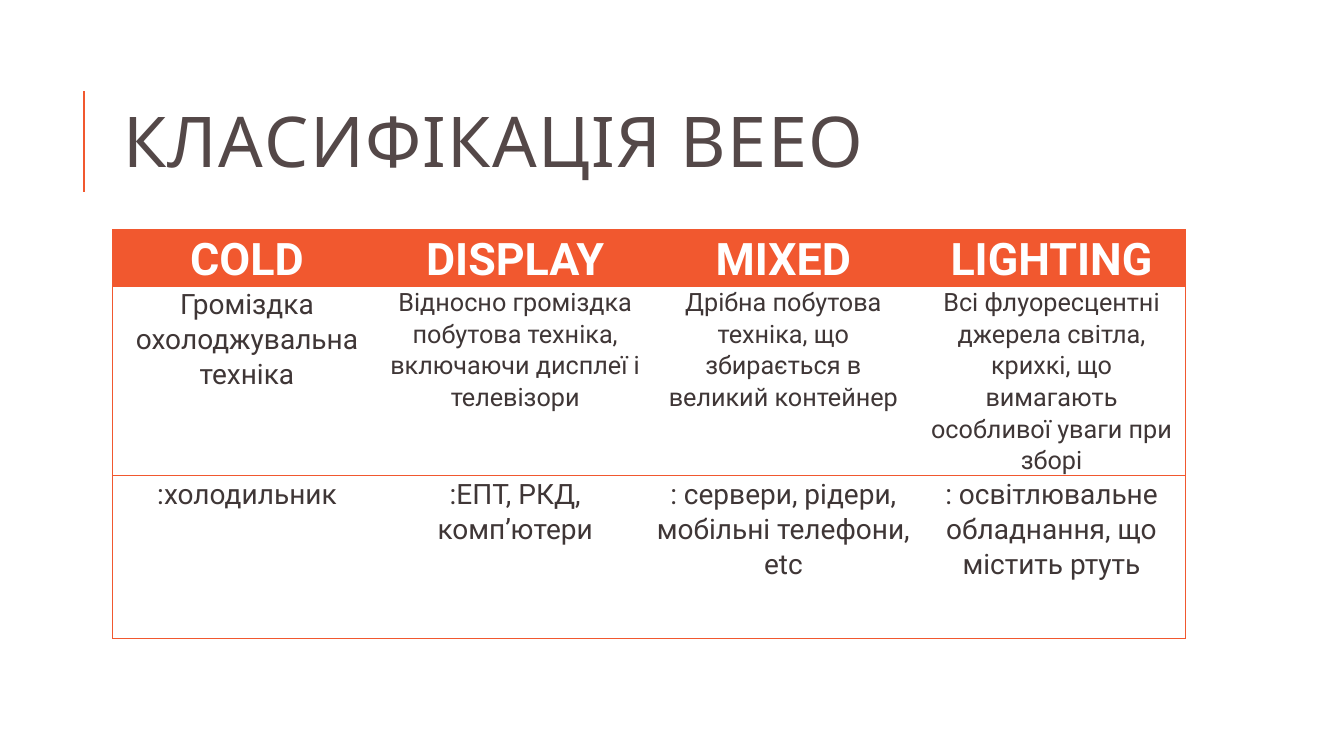
from lxml import etree
from pptx import Presentation, util as u
from pptx.dml.color import RGBColor
from pptx.enum import shapes, text
from pptx.oxml import parse_xml
from pptx.oxml.ns import nsdecls, qn

PX = 9144  # EMU per px, 100 px to the inch
COLORS = {"accent": "F1582F", "title": "544848", "body": "3F3636", "white": "FFFFFF"}
PLAIN = "{2D5ABB26-0587-4C30-8999-92F81FD0307C}"  # table style without grid

HEADS = ["COLD", "DISPLAY", "MIXED", "LIGHTING"]
KINDS = [
    "Громіздка охолоджувальна техніка",
    "Відносно громіздка побутова техніка, включаючи дисплеї і телевізори",
    "Дрібна побутова техніка, що збирається в великий контейнер",
    "Всі флуоресцентні джерела світла, крихкі, що вимагають особливої уваги при зборі",
]
ITEMS = [
    ":холодильник",
    ":ЕПТ, РКД, комп’ютери",
    ": сервери, рідери, мобільні телефони, etc",
    ": освітлювальне обладнання, що містить ртуть",
]


def color(name):
    return RGBColor.from_string(COLORS[name])


class Deck:
    def __init__(self, wide, high):
        self.prs = Presentation()
        self.prs.slide_width, self.prs.slide_height = wide * PX, high * PX
        self.slide = self.prs.slides.add_slide(self.prs.slide_layouts[5])

    def font(self, par, face, size, tint, bold=False):
        font = par.font
        font.name, font.size, font.bold = face, u.Pt(size), bold
        font.color.rgb = color(tint)

    def line(self, x1, y1, x2, y2):
        rule = self.slide.shapes.add_connector(
            shapes.MSO_CONNECTOR.STRAIGHT, x1 * PX, y1 * PX, x2 * PX, y2 * PX)
        rule.line.color.rgb = color("accent")
        rule.line.width = u.Pt(1.5)
        etree.SubElement(rule._element.spPr, qn("a:effectLst"))

    def title(self, words, x, y, w, h):
        box = self.slide.shapes.title
        box.left, box.top, box.width, box.height = (n * PX for n in (x, y, w, h))
        frame = box.text_frame
        frame.text = words
        frame.word_wrap = True
        frame.auto_size = text.MSO_AUTO_SIZE.NONE
        frame.vertical_anchor = text.MSO_ANCHOR.MIDDLE
        par = frame.paragraphs[0]
        par.alignment, par.line_spacing = text.PP_ALIGN.LEFT, 0.8
        self.font(par, "Karla", 50, "title")
        par.runs[0]._r.get_or_add_rPr().set("spc", "100")

    def edges(self, cell, sides):
        props = cell._tc.get_or_add_tcPr()
        for side in sides:
            props.append(parse_xml(
                f'<a:ln{side} {nsdecls("a")} w="9525"><a:solidFill>'
                f'<a:srgbClr val="{COLORS["accent"]}"/></a:solidFill></a:ln{side}>'))

    def cell(self, cell, words, size, head, sides):
        cell.margin_left = cell.margin_right = 7 * PX
        cell.margin_top = cell.margin_bottom = 0
        cell.text = words
        par = cell.text_frame.paragraphs[0]
        par.alignment, par.line_spacing = text.PP_ALIGN.CENTER, 1.07
        self.font(par, "Roboto", size, "white" if head else "body", head)
        self.edges(cell, sides)
        if head:
            cell.fill.solid()
            cell.fill.fore_color.rgb = color("accent")
        else:
            cell.fill.background()

    def table(self, rows, sizes, highs, x, y, wide):
        count = len(rows[0])
        frame = self.slide.shapes.add_table(
            len(rows), count, x * PX, y * PX, wide * count * PX, sum(highs) * PX)
        grid = frame.table
        grid.horz_banding = False
        grid._tbl.tblPr.find(qn("a:tableStyleId")).text = PLAIN
        for col in grid.columns:
            col.width = wide * PX
        for r, row in enumerate(rows):
            grid.rows[r].height = highs[r] * PX
            for c, words in enumerate(row):
                # Outer frame plus a rule under every row
                sides = ["L"] * (c == 0) + ["R"] * (c == count - 1) + ["T"] * (r == 0) + ["B"]
                self.cell(grid.cell(r, c), words, sizes[r][c], r == 0, sides)


def main():
    deck = Deck(1333, 750)
    # Heading with its accent rule
    deck.line(83, 190, 83, 90)
    deck.title("КЛАСИФІКАЦІЯ ВЕЕО", 112, 64, 1063, 164)
    # Classes of waste equipment
    sizes = [[32] * 4, [20, 18, 18, 18], [20] * 4]
    deck.table([HEADS, KINDS, ITEMS], sizes, [54, 185, 161], 112, 228, 266)
    deck.prs.save("out.pptx")


if __name__ == "__main__":
    main()
